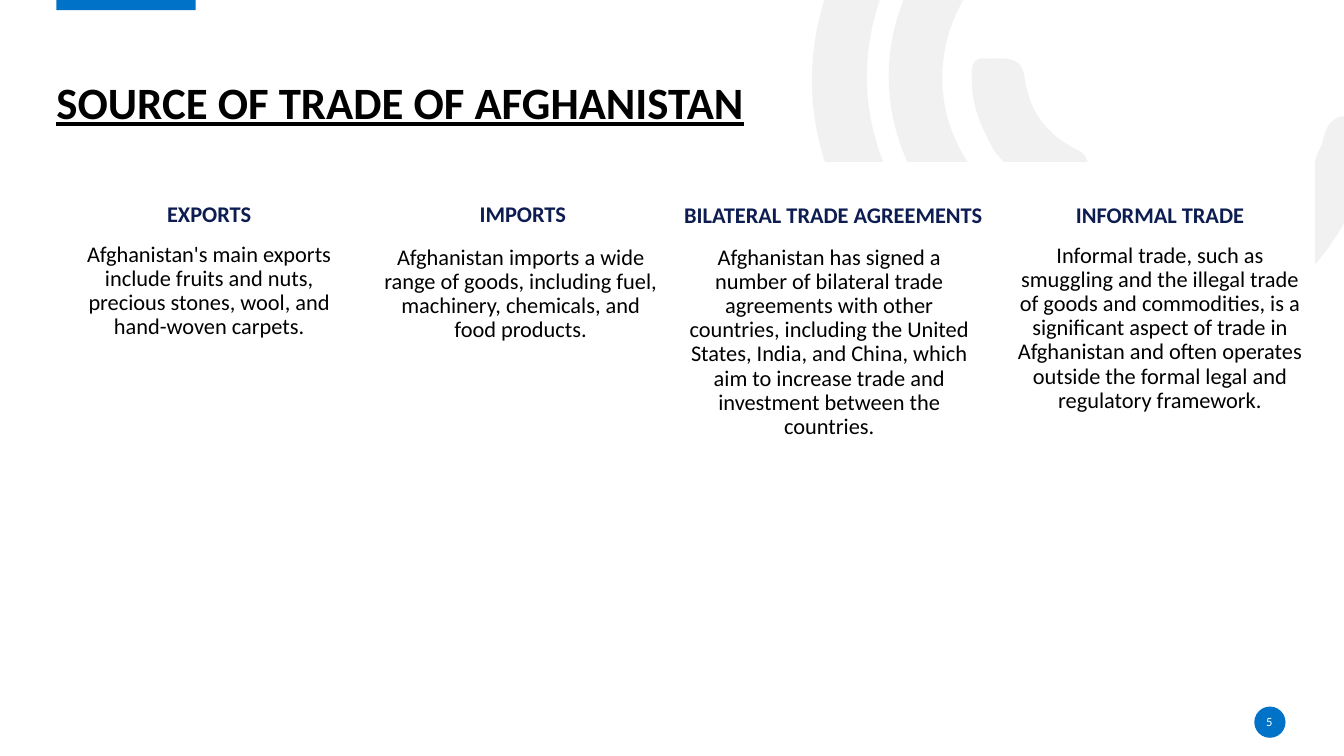
from lxml import etree
from pptx import Presentation
from pptx import util as u
from pptx.dml.color import RGBColor
from pptx.enum import shapes, text
from pptx.oxml.ns import qn

BLUE = RGBColor(0x00, 0x72, 0xC7)
NAVY = RGBColor(0x0D, 0x1D, 0x51)
BLACK = RGBColor(0x00, 0x00, 0x00)
WHITE = RGBColor(0xFF, 0xFF, 0xFF)
GRAY = RGBColor(0xE7, 0xE6, 0xE6)

FONT = "Calibri"
COLUMN_WIDTH = 2.83

# Each arc is a start point followed by cubic segments (control, control, end).
ARCS = [
    [(8.51, 2.29),
     (7.99, 1.49, 7.87, 0.5, 8.38, -0.5), (8.9, -1.52, 9.76, -2.03, 10.9, -2.07),
     (11.05, -2.07, 11.21, -2.1, 11.31, -1.95), (11.44, -1.75, 11.27, -1.54, 10.98, -1.54),
     (9.67, -1.54, 8.65, -0.59, 8.6, 0.68), (8.56, 1.81, 9.36, 2.81, 10.46, 3.02),
     (11.6, 3.24, 12.7, 2.61, 13.07, 1.52), (13.09, 1.48, 13.11, 1.44, 13.12, 1.4),
     (13.16, 1.19, 13.27, 1.11, 13.49, 1.17), (13.73, 1.24, 13.67, 1.41, 13.61, 1.56),
     (13.34, 2.45, 12.78, 3.07, 11.91, 3.41), (10.7, 3.87, 9.36, 3.45, 8.51, 2.29)],
    [(9.22, 1.99),
     (8.62, 1.15, 8.69, 0.07, 9.4, -0.68), (9.51, -0.79, 9.62, -0.95, 9.8, -0.78),
     (9.95, -0.64, 9.97, -0.5, 9.79, -0.32), (9.25, 0.26, 9.2, 1.08, 9.65, 1.68),
     (10.08, 2.29, 10.88, 2.49, 11.61, 2.15), (11.82, 2.05, 11.93, 2.12, 12.03, 2.29),
     (12.13, 2.5, 11.97, 2.56, 11.83, 2.63), (10.96, 3.1, 9.83, 2.82, 9.22, 1.99)],
    [(9.87, 1.51),
     (9.75, 1.3, 9.64, 1.07, 9.64, 0.82), (9.64, 0.73, 9.61, 0.57, 9.76, 0.58),
     (9.92, 0.59, 10.13, 0.53, 10.16, 0.76), (10.21, 1.1, 10.36, 1.32, 10.67, 1.48),
     (10.88, 1.57, 10.76, 1.76, 10.72, 1.89), (10.68, 2.06, 10.55, 1.98, 10.45, 1.94),
     (10.21, 1.87, 10.03, 1.7, 9.87, 1.51)],
]

# Heading, heading box (left, top, width), body text, body box (left, top, height)
COLUMNS = [
    ("EXPORTS", (0.66, 1.87, COLUMN_WIDTH),
     "Afghanistan's main exports include fruits and nuts, precious stones, wool, "
     "and hand-woven carpets.", (0.66, 2.41, 1.91)),
    ("IMPORTS", (3.77, 1.87, COLUMN_WIDTH),
     "Afghanistan imports a wide range of goods, including fuel, machinery, "
     "chemicals, and food products.", (3.75, 2.44, 2.1)),
    ("BILATERAL TRADE AGREEMENTS", (6.58, 1.88, 3.37),
     "Afghanistan has signed a number of bilateral trade agreements with other "
     "countries, including the United States, India, and China, which aim to "
     "increase trade and investment between the countries.", (6.81, 2.44, 2.1)),
    ("INFORMAL TRADE", (10.09, 1.88, COLUMN_WIDTH),
     "Informal trade, such as smuggling and the illegal trade of goods and "
     "commodities, is a significant aspect of trade in Afghanistan and often "
     "operates outside the formal legal and regulatory framework.", (10.09, 2.42, 1.91)),
]


def paint(shape, color, line=None, opacity=None):
    shape.shadow.inherit = False
    shape.fill.solid()
    shape.fill.fore_color.rgb = color
    if line is None:
        shape.line.fill.background()
    else:
        shape.line.color.rgb = line
        shape.line.width = u.Pt(1)
    if opacity is not None:
        tint = shape.element.spPr.find(qn("a:solidFill"))[0]
        etree.SubElement(tint, qn("a:alpha"), val=str(opacity * 1000))


def add_arc(slide, arc):
    """Build the outline through the end points, then bend each side into its cubic."""
    start, *curves = [[u.Inches(length) for length in step] for step in arc]
    builder = slide.shapes.build_freeform(*start)
    builder.add_line_segments([curve[-2:] for curve in curves], close=True)
    shape = builder.convert_to_shape()
    sides = list(shape.element.iter(qn("a:lnTo")))
    for side, curve in zip(sides, curves):
        bend = etree.Element(qn("a:cubicBezTo"))
        for x, y in zip(curve[::2], curve[1::2]):
            etree.SubElement(bend, qn("a:pt"), x=str(x - shape.left), y=str(y - shape.top))
        side.getparent().replace(side, bend)
    paint(shape, GRAY, opacity=53)


def add_block(slide, kind, left, top, width, height, color, line=None):
    box = [u.Inches(length) for length in (left, top, width, height)]
    paint(slide.shapes.add_shape(kind, *box), color, line)


def add_text(slide, content, left, top, width, height, size=16, color=BLACK, bold=False,
             underline=False, align=text.PP_ALIGN.CENTER, anchor=text.MSO_ANCHOR.TOP,
             line_spacing=0.9, space_before=10):
    box = [u.Inches(length) for length in (left, top, width, height)]
    frame = slide.shapes.add_textbox(*box).text_frame
    frame.word_wrap = True
    frame.vertical_anchor = anchor
    frame.margin_left = frame.margin_right = frame.margin_top = frame.margin_bottom = 0
    paragraph = frame.paragraphs[0]
    paragraph.alignment = align
    paragraph.line_spacing = line_spacing
    paragraph.space_before = u.Pt(space_before)
    run = paragraph.add_run()
    run.text = content
    run.font.name = FONT
    run.font.size = u.Pt(size)
    run.font.bold = bold
    run.font.underline = underline
    run.font.color.rgb = color


def main():
    presentation = Presentation()
    presentation.slide_width = u.Inches(13.33)
    presentation.slide_height = u.Inches(7.5)
    slide = presentation.slides.add_slide(presentation.slide_layouts[6])

    for arc in ARCS:
        add_arc(slide, arc)
    rectangle, oval = shapes.MSO_SHAPE.RECTANGLE, shapes.MSO_SHAPE.OVAL
    add_block(slide, rectangle, 0.56, -0.02, 1.38, 0.12, BLUE)
    add_block(slide, oval, 12.44, 7.01, 0.31, 0.31, BLUE)
    add_block(slide, rectangle, 0.28, 1.61, 12.76, 2.28, WHITE, line=WHITE)

    add_text(slide, "SOURCE OF TRADE OF AFGHANISTAN", 0.56, 0.27, 12.19, 1.01, size=32,
             bold=True, underline=True, align=text.PP_ALIGN.LEFT,
             anchor=text.MSO_ANCHOR.BOTTOM, space_before=0)
    for heading, heading_box, body, (left, top, height) in COLUMNS:
        add_text(slide, heading, *heading_box, 0.54, color=NAVY, bold=True,
                 anchor=text.MSO_ANCHOR.MIDDLE)
        add_text(slide, body, left, top, COLUMN_WIDTH, height)
    add_text(slide, "5", 12.43, 7.06, 0.32, 0.2, size=9, color=WHITE,
             anchor=text.MSO_ANCHOR.MIDDLE, line_spacing=1.0, space_before=0)
    add_block(slide, rectangle, 0.48, 6.75, 1.32, 0.62, WHITE, line=WHITE)

    presentation.save("out.pptx")


if __name__ == "__main__":
    main()
